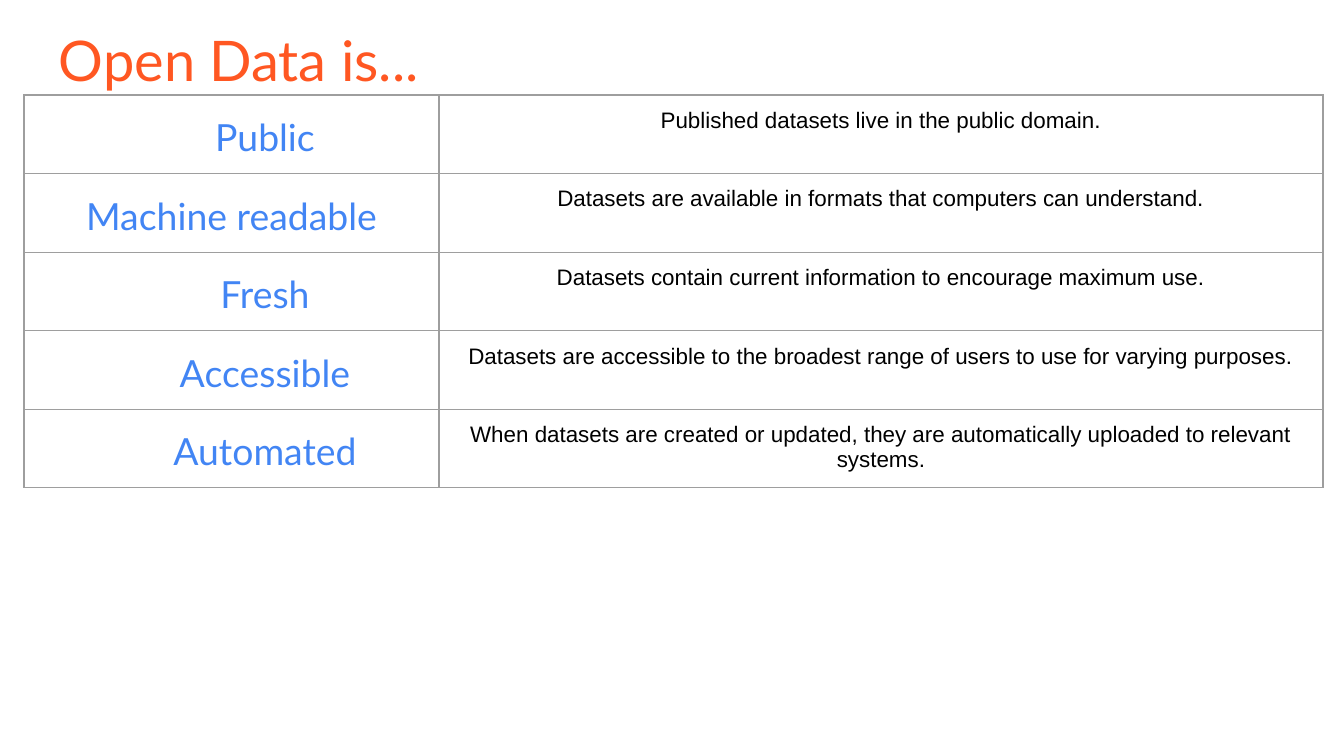
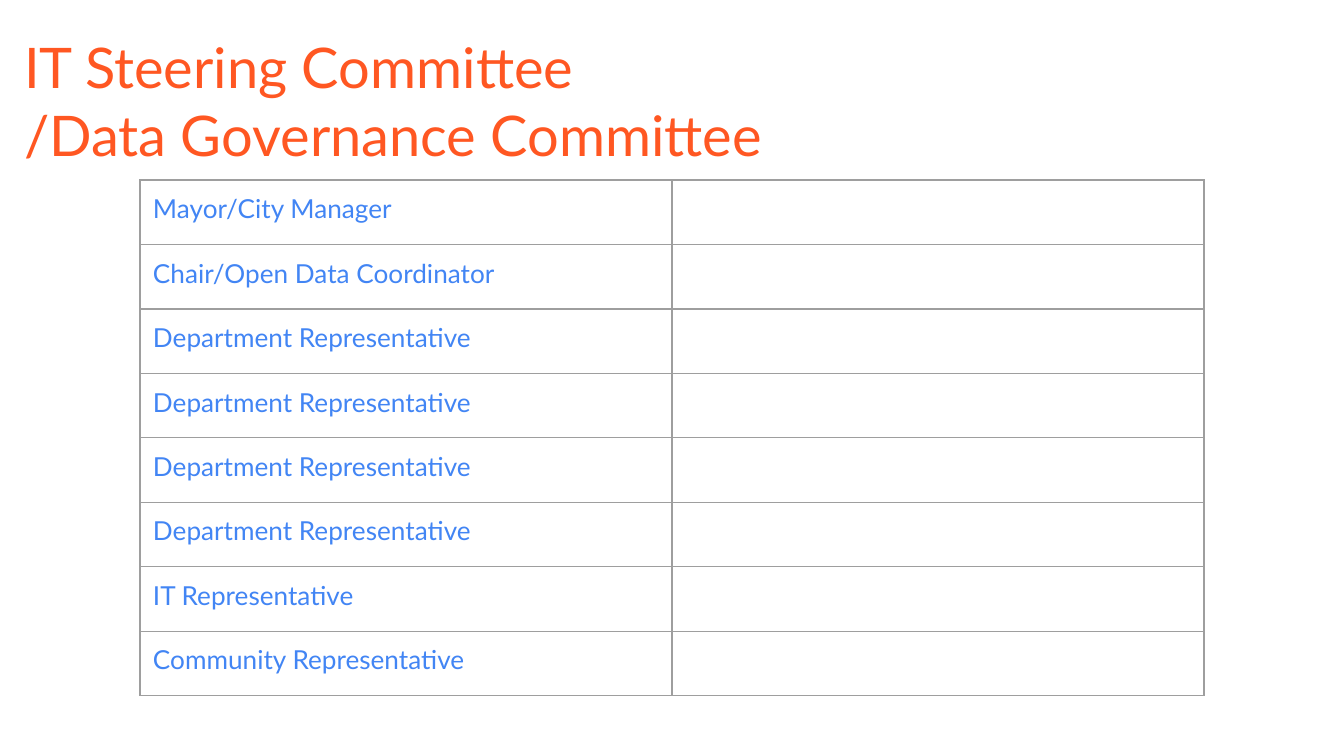
from lxml import etree
from pptx import Presentation
from pptx import util as u
from pptx.dml.color import RGBColor
from pptx.enum import text
from pptx.oxml.ns import qn

SCALE = 914400 / 134.4  # EMU in one px
SLIDE_SIZE = (1344, 756)
INSET = 13
COLORS = {"title": "FF5722", "label": "4285F4", "body": "000000", "border": "9E9E9E"}
BORDER_WIDTH = u.Pt(0.75)
FIRST_LINE_INDENT = 67

OPEN_DATA = [
    ("Public", "Published datasets live in the public domain."),
    ("Machine readable", "Datasets are available in formats that computers can understand."),
    ("Fresh", "Datasets contain current information to encourage maximum use."),
    ("Accessible", "Datasets are accessible to the broadest range of users to use for varying purposes."),
    ("Automated", "When datasets are created or updated, they are automatically uploaded to relevant systems."),
]
MEMBERS = [
    "Mayor/City Manager",
    "Chair/Open Data Coordinator",
    *["Department Representative"] * 4,
    "IT Representative",
    "Community Representative",
]


def px(length):
    return u.Emu(round(length * SCALE))


def format_runs(paragraph, size, font, color):
    for run in paragraph.runs:
        run.font.size = u.Pt(size)
        run.font.name = font
        run.font.color.rgb = RGBColor.from_string(COLORS[color])


def set_insets(owner):
    owner.margin_left = owner.margin_right = px(INSET)
    owner.margin_top = owner.margin_bottom = px(INSET)


def add_title_slide(presentation, title, box):
    slide = presentation.slides.add_slide(presentation.slide_layouts[5])
    shape = slide.shapes.title
    shape.left, shape.top, shape.width, shape.height = map(px, box)
    frame = shape.text_frame
    frame.text = title
    frame.word_wrap = True
    frame.auto_size = text.MSO_AUTO_SIZE.NONE
    frame.vertical_anchor = text.MSO_ANCHOR.TOP
    set_insets(frame)
    for paragraph in frame.paragraphs:
        paragraph.alignment = text.PP_ALIGN.LEFT
        format_runs(paragraph, 30, "Lato", "title")
    return slide


def set_borders(cell):
    properties = cell._tc.get_or_add_tcPr()
    for position, side in enumerate(("a:lnL", "a:lnR", "a:lnT", "a:lnB")):
        line = etree.Element(qn(side), w=str(BORDER_WIDTH))
        fill = etree.SubElement(line, qn("a:solidFill"))
        etree.SubElement(fill, qn("a:srgbClr"), val=COLORS["border"])
        properties.insert(position, line)


def add_grid(slide, box, widths, row_count):
    """Add an unfilled, ruled table whose rows share the height of the box."""
    left, top, width, height = map(px, box)
    table = slide.shapes.add_table(row_count, len(widths), left, top, width, height).table
    table.first_row = table.horz_banding = False
    for column, column_width in zip(table.columns, widths):
        column.width = px(column_width)
    for cell in table.iter_cells():
        cell.fill.background()
        set_borders(cell)
    return table


def fill_cell(cell, words, size, font, color, alignment):
    set_insets(cell)
    paragraph = cell.text_frame.paragraphs[0]
    paragraph.text = words
    paragraph.alignment = alignment
    format_runs(paragraph, size, font, color)
    return paragraph


def add_definitions(slide, box):
    label_width = 415
    table = add_grid(slide, box, (label_width, box[2] - label_width), len(OPEN_DATA))
    center = text.PP_ALIGN.CENTER
    for row, (label, meaning) in enumerate(OPEN_DATA):
        paragraph = fill_cell(table.cell(row, 0), label, 20, "Lato", "label", center)
        paragraph.line_spacing = 1.15
        paragraph.space_after = u.Pt(16)
        if label != "Machine readable":  # the long label has no indent
            paragraph._p.get_or_add_pPr().set("indent", str(px(FIRST_LINE_INDENT)))
        fill_cell(table.cell(row, 1), meaning, 12, "Arial", "body", center)


def add_members(slide, box):
    table = add_grid(slide, box, (box[2] // 2,) * 2, len(MEMBERS))
    for row, member in enumerate(MEMBERS):
        fill_cell(table.cell(row, 0), member, 14, "Lato", "label", text.PP_ALIGN.LEFT)


def main():
    presentation = Presentation()
    presentation.slide_width, presentation.slide_height = map(px, SLIDE_SIZE)

    # What open data is
    slide = add_title_slide(presentation, "Open Data is...", (46, 12, 1252, 85))
    add_definitions(slide, (24, 95, 1299, 393))

    # Committee members
    slide = add_title_slide(
        presentation, "IT Steering Committee\n/Data Governance Committee", (11, 20, 1322, 129)
    )
    add_members(slide, (140, 180, 1064, 516))

    presentation.save("out.pptx")


if __name__ == "__main__":
    main()
